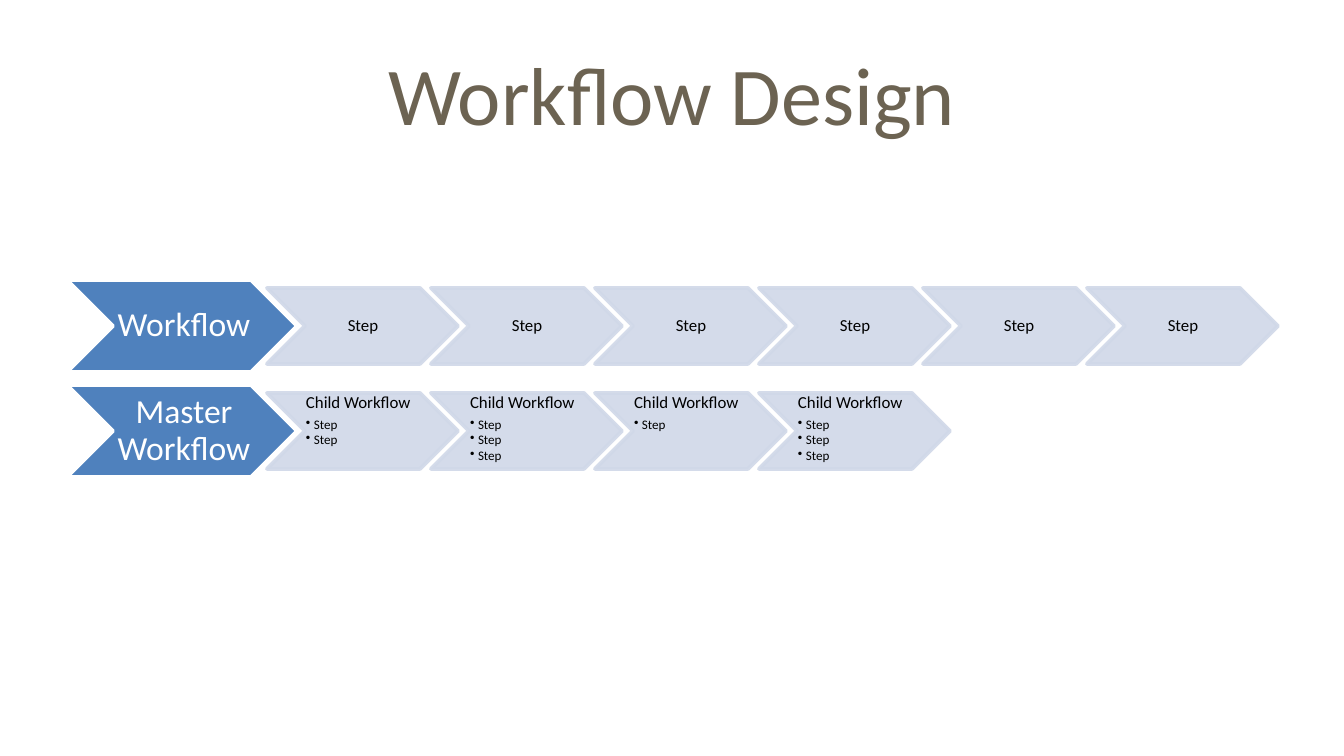
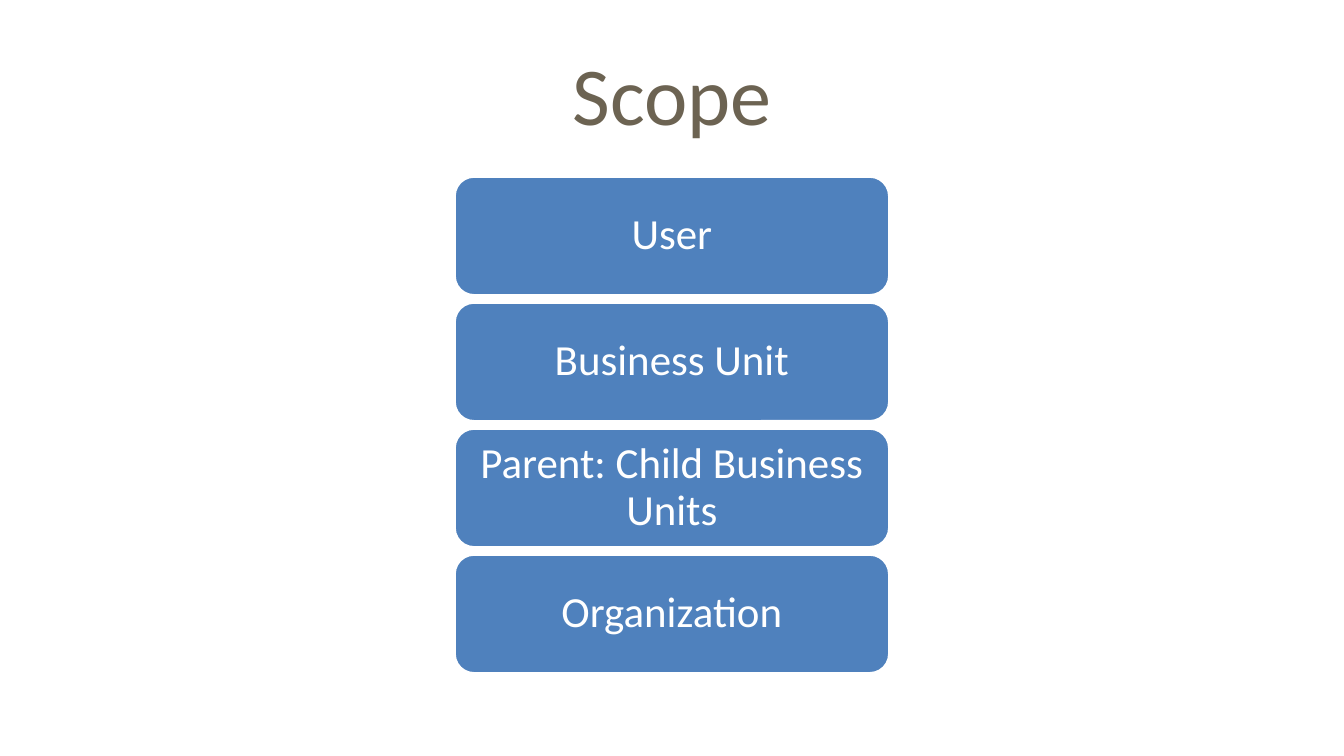
"""Build two slides: a workflow chevron diagram and a stack of scope levels."""
import pptx
import pptx.util
import pptx.dml.color
import pptx.enum.shapes
import pptx.enum.text
import pptx.oxml.ns
import lxml.etree

PX = 914400 / 134.4
FONT = "Calibri"
TITLE, BLUE, PALE, WHITE, BLACK = "6C6352", "4F81BD", "D0D8E8", "FFFFFF", "000000"
CHEVRON = pptx.enum.shapes.MSO_SHAPE.CHEVRON
ROUNDED = pptx.enum.shapes.MSO_SHAPE.ROUNDED_RECTANGLE
ALIGN = pptx.enum.text.PP_ALIGN
ANCHOR = pptx.enum.text.MSO_ANCHOR


def color(value):
    return pptx.dml.color.RGBColor.from_string(value)


def write(frame, text, size, ink, bullets=(), bullet_size=7, align=ALIGN.CENTER,
          anchor=ANCHOR.MIDDLE, insets=None, spacing=0.9):
    frame.word_wrap = True
    frame.vertical_anchor = anchor
    if insets:
        frame.margin_left, frame.margin_top, frame.margin_right, frame.margin_bottom = [
            round(inset * PX) for inset in insets]
    for index, line in enumerate([text, *bullets]):
        para = frame.add_paragraph() if index else frame.paragraphs[0]
        para.alignment = align
        para.line_spacing = spacing
        if bullets:
            para.space_after = pptx.util.Pt(1 if index else 3)
        if index:
            para.level = 1
            properties = para._p.get_or_add_pPr()
            properties.set("marL", str(round(8 * PX)))
            properties.set("indent", str(round(-8 * PX)))
            mark = lxml.etree.SubElement(properties, pptx.oxml.ns.qn("a:buChar"))
            mark.set("char", "•")
        span = para.add_run()
        span.text = line
        span.font.name = FONT
        span.font.size = pptx.util.Pt(bullet_size if index else size)
        span.font.color.rgb = color(ink)


deck = pptx.Presentation()
deck.slide_width = round(1344 * PX)
deck.slide_height = round(756 * PX)

pages = []
for heading in ["Workflow Design", "Scope"]:
    page = deck.slides.add_slide(deck.slide_layouts.get_by_name("Title Only"))
    title = page.shapes.title
    title.left, title.top, title.width, title.height = [
        round(length * PX) for length in (67, 30, 1210, 126)]
    write(title.text_frame, heading, 44, TITLE, spacing=1.0)
    pages.append(page)
workflow_page, scope_page = pages

workflows = [
    ("Workflow", [("Step", 0)] * 6),
    ("Master Workflow", [("Child Workflow", count) for count in (2, 3, 1, 3)]),
]
levels = ["User", "Business Unit", "Parent: Child Business Units", "Organization"]

blocks = []
for row, (name, steps) in enumerate(workflows):
    top = 280 + 105 * row
    blocks.append((workflow_page, CHEVRON, (67, top, 230, 92), (46, 0), BLUE, WHITE, name,
                   dict(size=18, ink=WHITE, insets=(4, 1, 0, 1))))
    for column, (step, count) in enumerate(steps):
        style = dict(size=9, ink=BLACK, insets=(1, 1, 0, 1), bullets=["Step"] * count)
        if count:
            style.update(align=ALIGN.LEFT, anchor=ANCHOR.TOP)
        blocks.append((workflow_page, CHEVRON, (267 + 164 * column, top + 8, 191, 76),
                       (38, 0), PALE, PALE, step, style))
for row, level in enumerate(levels):
    blocks.append((scope_page, ROUNDED, (454, 176 + 126 * row, 436, 120), (6, 6), BLUE, WHITE,
                   level, dict(size=23, ink=WHITE, insets=(13, 7, 13, 7))))

for page, preset, (left, top, width, height), (dx, dy), fill, line, text, style in blocks:
    shape = page.shapes.add_shape(
        preset, *[round(length * PX) for length in (left, top, width, height)])
    shape.shadow.inherit = False
    shape.fill.solid()
    shape.fill.fore_color.rgb = color(fill)
    shape.line.color.rgb = color(line)
    shape.line.width = pptx.util.Pt(2)
    if fill == PALE:
        for tint in shape.element.spPr.iter(pptx.oxml.ns.qn("a:srgbClr")):
            lxml.etree.SubElement(tint, pptx.oxml.ns.qn("a:alpha")).set("val", "90000")
    area = (left + dx, top + dy, width - 2 * dx, height - 2 * dy)
    box = page.shapes.add_textbox(*[round(length * PX) for length in area])
    write(box.text_frame, text, **style)

deck.save("out.pptx")
